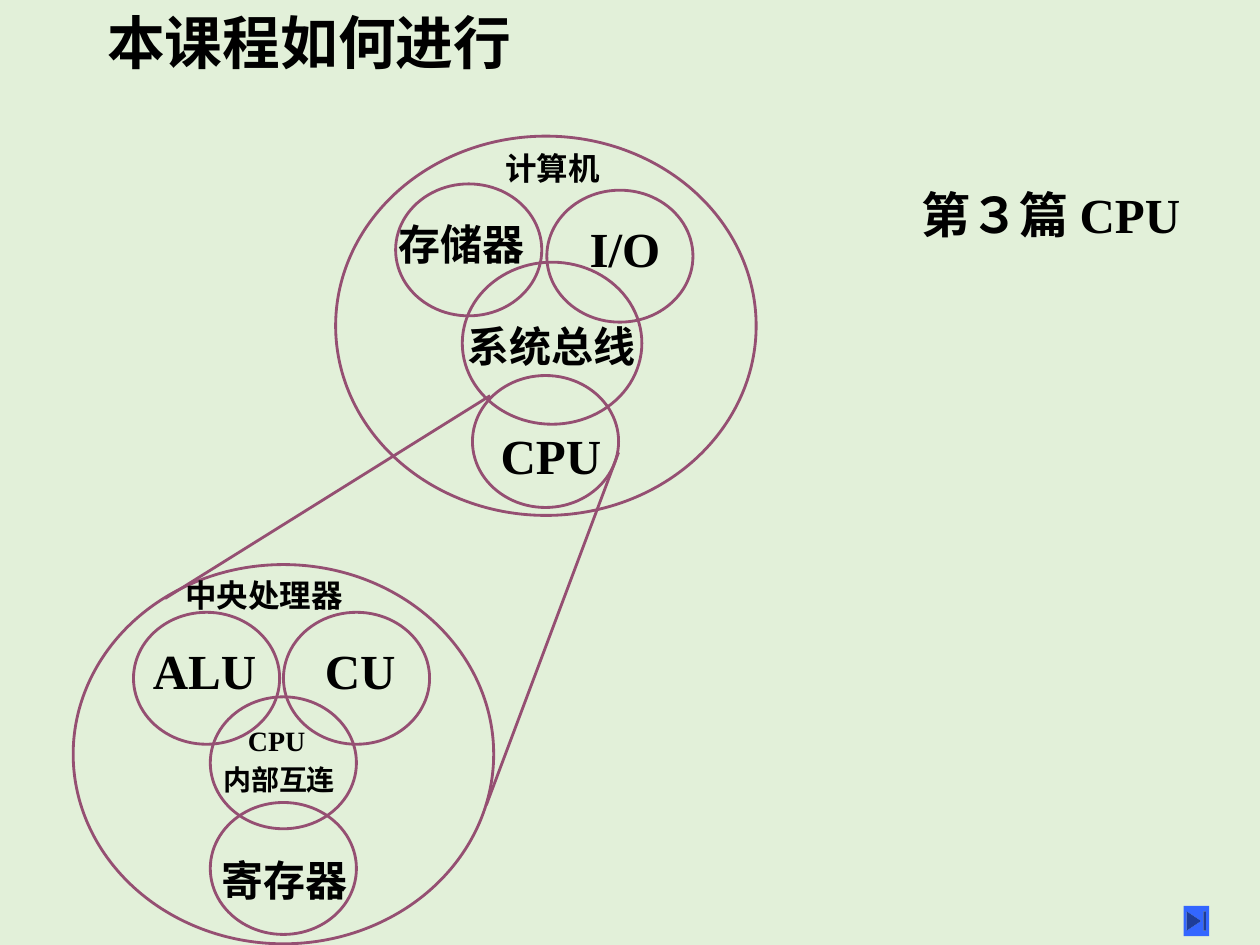
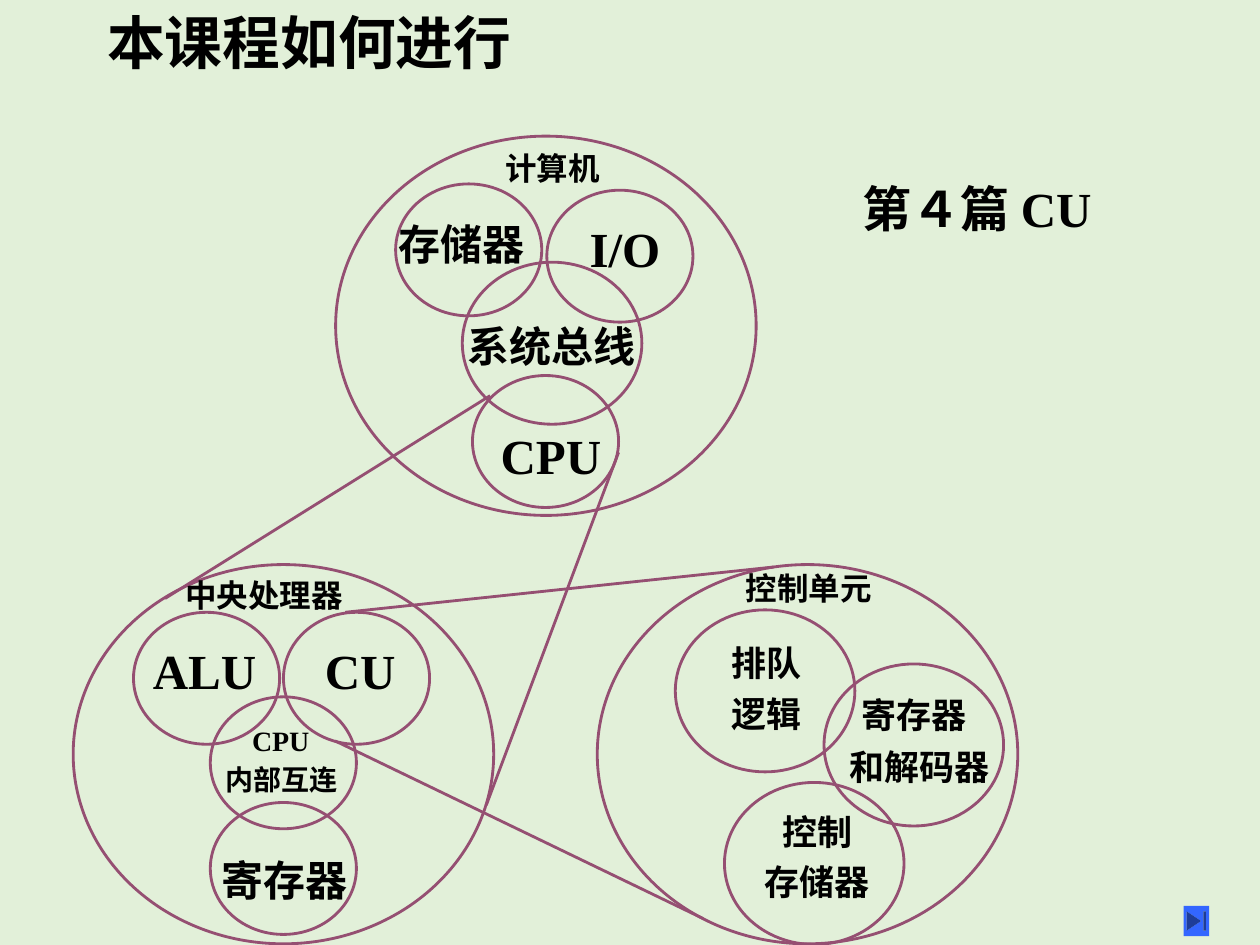
"""Builds two course-outline slides that zoom from the computer into its CPU and control unit."""
from dataclasses import dataclass

from lxml import etree
from pptx import Presentation
from pptx import util as u
from pptx.dml.color import RGBColor
from pptx.enum import shapes, text
from pptx.oxml.ns import qn

LEFT, CENTER = text.PP_ALIGN.LEFT, text.PP_ALIGN.CENTER


@dataclass(frozen=True)
class Theme:
    """Colours, fonts, type sizes and line width of the deck."""
    background: RGBColor = RGBColor.from_string("E2F0D9")
    ink: RGBColor = RGBColor.from_string("000000")
    outline: RGBColor = RGBColor.from_string("954F72")
    button: RGBColor = RGBColor.from_string("3366FF")
    latin: str = "Times New Roman"
    chinese: str = "Noto Sans CJK SC"
    title_font: str = "Calibri"
    title: float = 33
    large: float = 28
    part: float = 24
    unit: float = 20
    name: float = 18
    small: float = 16
    line: float = 1.62


THEME = Theme()
TITLE = "本课程如何进行"
TITLE_AREA = (54, 0, 612, 52.5)
BUTTON_AREA = (676.3, 517.7, 14.6, 17.2)
SIZES = {"whole": (240.3, 216.7), "part": (83.5, 75.4), "unit": (102.6, 92.6)}

COMPUTER = {
    "circles": [
        ("whole", 191.8, 77.8), ("unit", 264.2, 149.8), ("part", 226.1, 105.1),
        ("part", 312.5, 108.7), ("part", 270, 214.6),
    ],
    "labels": [
        (["计算机"], "name", LEFT, (288.7, 85, 56, 21.6)),
        (["I/O"], "large", CENTER, (327.6, 124.6, 59, 33.8)),
        (["系统总线"], "part", CENTER, (265.9, 182.9, 98, 28.8)),
        (["存储器"], "part", CENTER, (226.8, 124.6, 74, 28.8)),
        (["CPU"], "large", CENTER, (284.8, 243.4, 60, 33.8)),
    ],
    "lines": [],
}
PROCESSOR = {
    "circles": [
        ("whole", 41.8, 322.6), ("part", 120.2, 398.2), ("part", 76.3, 349.9),
        ("part", 162, 349.9), ("part", 120.2, 458.6),
    ],
    "labels": [
        (["中央处理器"], "name", LEFT, (105.8, 329, 188.6, 21.6)),
        (["ALU"], "large", CENTER, (86.4, 365.8, 61, 33.8)),
        (["CU"], "large", CENTER, (184.8, 365.8, 42, 33.8)),
        (["寄存器"], "part", CENTER, (125.4, 488.2, 74, 28.8)),
    ],
    "lines": [(280.1, 226.1, 94.3, 342), (353.5, 258.5, 277.9, 460.1)],
}
CONTROL_UNIT = {
    "circles": [
        ("whole", 341.3, 322.6), ("unit", 470.9, 379.4),
        ("unit", 385.9, 348.5), ("unit", 414, 447.1),
    ],
    "labels": [
        (["控制单元"], "name", LEFT, (426.2, 325.4, 104.4, 21.6)),
        (["寄存器"], "unit", LEFT, (492.5, 396, 62, 24)),
        (["和解码器"], "unit", LEFT, (485.3, 426.2, 82, 24)),
        (["排队", "逻辑"], "unit", CENTER, (389.5, 366.5, 97.2, 53.3)),
        (["控制", "存储器"], "unit", CENTER, (424.1, 463, 85.7, 53.3)),
    ],
    "lines": [(191.5, 423.4, 401.8, 524.9), (197.3, 349.9, 442.1, 324)],
}
SLIDES = [
    {
        "heading": (["第３篇 ", "CPU"], CENTER, (481, 102.2, 239, 41)),
        "interconnect": (141.7, 127.6),
        "diagrams": [PROCESSOR, COMPUTER],
    },
    {
        "heading": (["第４篇 ", "CU"], LEFT, (486, 98.6, 214.6, 41)),
        "interconnect": (144, 128.9),
        "diagrams": [PROCESSOR, CONTROL_UNIT, COMPUTER],
    },
]


def points(values):
    """Convert numbers to point lengths."""
    return [u.Pt(value) for value in values]


def apply(target, values):
    """Set every attribute named in a dict of format values."""
    for name, value in values.items():
        setattr(target, name, value)


def add_span(para, words, size, latin=None):
    """Add one bold run with its Latin and Chinese fonts."""
    span = para.add_run()
    span.text = words
    font_name = latin or (THEME.latin if words.isascii() else THEME.chinese)
    apply(span.font, {"name": font_name, "size": u.Pt(size), "bold": True})
    span.font.color.rgb = THEME.ink
    properties = span.font._element
    etree.SubElement(properties, qn("a:ea")).set("typeface", THEME.chinese)


def add_text(page, area, paragraphs, size, align, margins=(0, 0)):
    """Add a text box whose paragraphs are lists of spans."""
    frame = page.shapes.add_textbox(*points(area)).text_frame
    across, down = points(margins)
    apply(frame, {
        "word_wrap": True, "margin_left": across, "margin_right": across,
        "margin_top": down, "margin_bottom": down,
    })
    for index, spans in enumerate(paragraphs):
        para = frame.add_paragraph() if index else frame.paragraphs[0]
        para.alignment = align
        if index:
            para.space_before = u.Pt(size / 4)
        for words in spans:
            add_span(para, words, size)


def style_line(line):
    """Give a line the shared colour and width."""
    line.color.rgb = THEME.outline
    line.width = u.Pt(THEME.line)


def add_circle(page, kind, left, top):
    """Add an unfilled circle of a named size."""
    circle = page.shapes.add_shape(
        shapes.MSO_SHAPE.OVAL, *points((left, top, *SIZES[kind])))
    circle.shadow.inherit = False
    circle.fill.background()
    style_line(circle.line)


def add_zoom_line(page, ends):
    """Add a line from a part to its enlarged view."""
    connector = page.shapes.add_connector(shapes.MSO_CONNECTOR.STRAIGHT, *points(ends))
    style_line(connector.line)
    etree.SubElement(connector._element.spPr, qn("a:effectLst"))


def add_diagram(page, diagram):
    """Draw the circles, labels and zoom lines of one diagram."""
    for circle in diagram["circles"]:
        add_circle(page, *circle)
    for lines, size, align, area in diagram["labels"]:
        add_text(page, area, [[line] for line in lines], getattr(THEME, size), align)
    for ends in diagram["lines"]:
        add_zoom_line(page, ends)


def add_title(page):
    """Place and format the title placeholder."""
    title = page.shapes.title
    apply(title, dict(zip(("left", "top", "width", "height"), points(TITLE_AREA))))
    apply(title.text_frame, {
        "vertical_anchor": text.MSO_ANCHOR.MIDDLE,
        "auto_size": text.MSO_AUTO_SIZE.NONE, "word_wrap": True,
    })
    para = title.text_frame.paragraphs[0]
    apply(para, {"alignment": LEFT, "line_spacing": 0.9})
    add_span(para, TITLE, THEME.title, THEME.title_font)


def add_button(page):
    """Add the jump-to-end button."""
    button = page.shapes.add_shape(
        shapes.MSO_SHAPE.ACTION_BUTTON_END, *points(BUTTON_AREA))
    button.shadow.inherit = False
    button.fill.solid()
    button.fill.fore_color.rgb = THEME.button
    button.line.fill.background()


def add_page(deck, content):
    """Build one slide from its content."""
    page = deck.slides.add_slide(deck.slide_layouts[5])
    add_title(page)
    for diagram in content["diagrams"]:
        add_diagram(page, diagram)
    acronym_left, phrase_left = content["interconnect"]
    add_text(page, (acronym_left, 413.3, 104, 19.4), [["CPU"]], THEME.small, LEFT)
    add_text(page, (phrase_left, 435.6, 75.6, 19.4), [["内部互连"]], THEME.small, LEFT)
    spans, align, area = content["heading"]
    add_text(page, area, [spans], THEME.large, align, (7.2, 3.6))
    add_button(page)


def main():
    """Create and save the deck."""
    deck = Presentation()
    apply(deck, {"slide_width": u.Pt(720), "slide_height": u.Pt(540)})
    fill = deck.slide_master.background.fill
    fill.solid()
    fill.fore_color.rgb = THEME.background
    for content in SLIDES:
        add_page(deck, content)
    deck.save("out.pptx")


if __name__ == "__main__":
    main()
